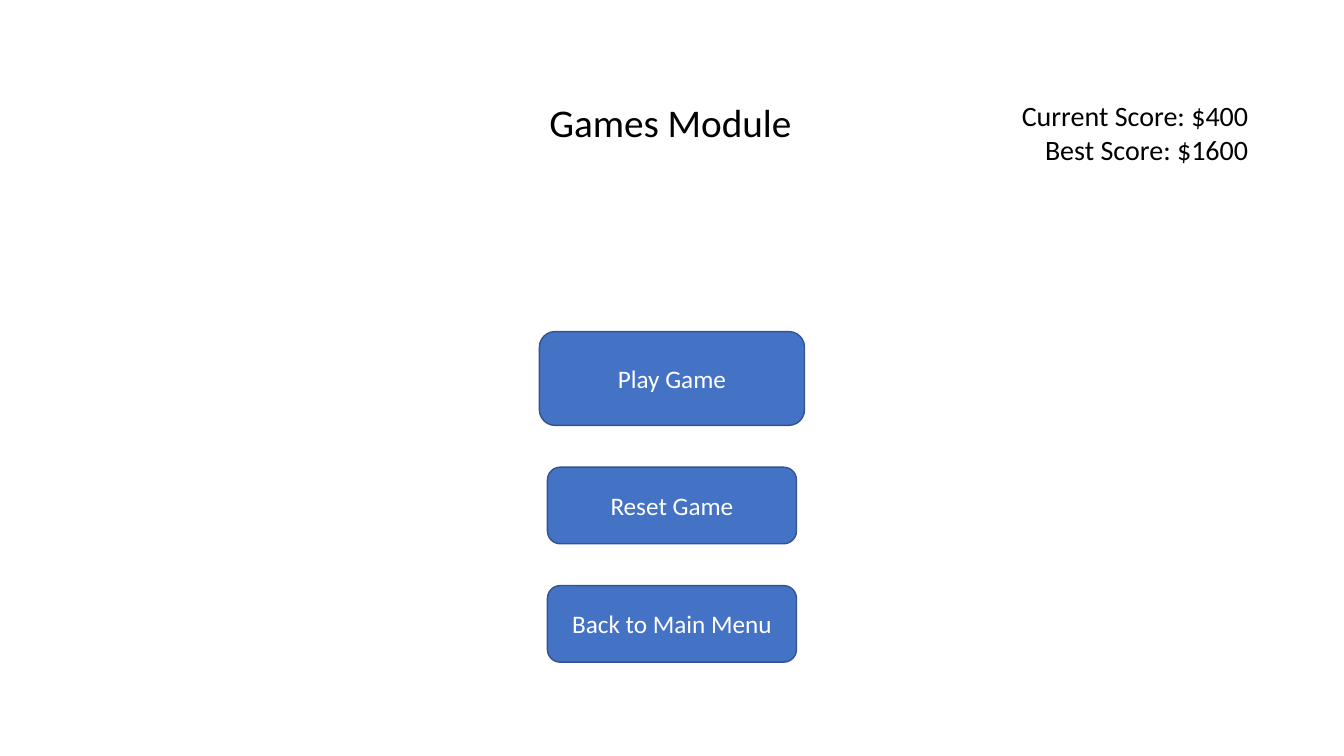
from pptx import Presentation
from pptx.dml.color import RGBColor
from pptx.enum.shapes import MSO_SHAPE
from pptx.enum.text import MSO_ANCHOR, MSO_AUTO_SIZE, PP_ALIGN
from pptx.util import Inches, Pt

FONT = "Calibri"
BLACK, WHITE, BLUE, NAVY = "000000", "FFFFFF", "4472C4", "325491"


def color(hex_string):
    return RGBColor.from_string(hex_string)


def write(tf, lines, size, hex_color, align):
    for i, line in enumerate(lines):
        p = tf.paragraphs[0] if i == 0 else tf.add_paragraph()
        p.alignment = align
        r = p.add_run()
        r.text = line
        for name, value in {"name": FONT, "size": Pt(size)}.items():
            setattr(r.font, name, value)
        r.font.color.rgb = color(hex_color)


def add_label(s, box, lines, size, align):
    tf = s.shapes.add_textbox(*map(Inches, box)).text_frame
    tf.word_wrap = False
    tf.auto_size = MSO_AUTO_SIZE.SHAPE_TO_FIT_TEXT
    write(tf, lines, size, BLACK, align)


def add_button(s, box, caption):
    sp = s.shapes.add_shape(MSO_SHAPE.ROUNDED_RECTANGLE, *map(Inches, box))
    sp.shadow.inherit = False
    sp.fill.solid()
    sp.fill.fore_color.rgb = color(BLUE)
    sp.line.color.rgb = color(NAVY)
    sp.line.width = Pt(1)
    sp.text_frame.vertical_anchor = MSO_ANCHOR.MIDDLE
    write(sp.text_frame, [caption], 18, WHITE, PP_ALIGN.CENTER)


def add_header(s, box):
    left, top, width, height = box
    score_width = 2.47
    add_label(s, (left, top, 2.63, 0.57), ["Games Module"], 28, PP_ALIGN.LEFT)
    add_label(s, (left + width - score_width, top, score_width, height),
              ["Current Score: $400", "Best Score: $1600"], 20, PP_ALIGN.RIGHT)


def add_menu(s, box):
    left, top, width, height = box
    buttons = [("Play Game", width, 0.93),
               ("Reset Game", 2.47, 0.76),
               ("Back to Main Menu", 2.47, 0.76)]
    gap = (height - sum(h for _, _, h in buttons)) / (len(buttons) - 1)
    for caption, w, h in buttons:
        add_button(s, (left + (width - w) / 2, top, w, h), caption)
        top += h + gap


prs = Presentation()
prs.slide_width, prs.slide_height = Inches(13.33), Inches(7.5)
s = prs.slides.add_slide(prs.slide_layouts[6])
add_header(s, (5.35, 0.93, 7.13, 0.77))
add_menu(s, (5.35, 3.29, 2.63, 3.28))
prs.save("out.pptx")
